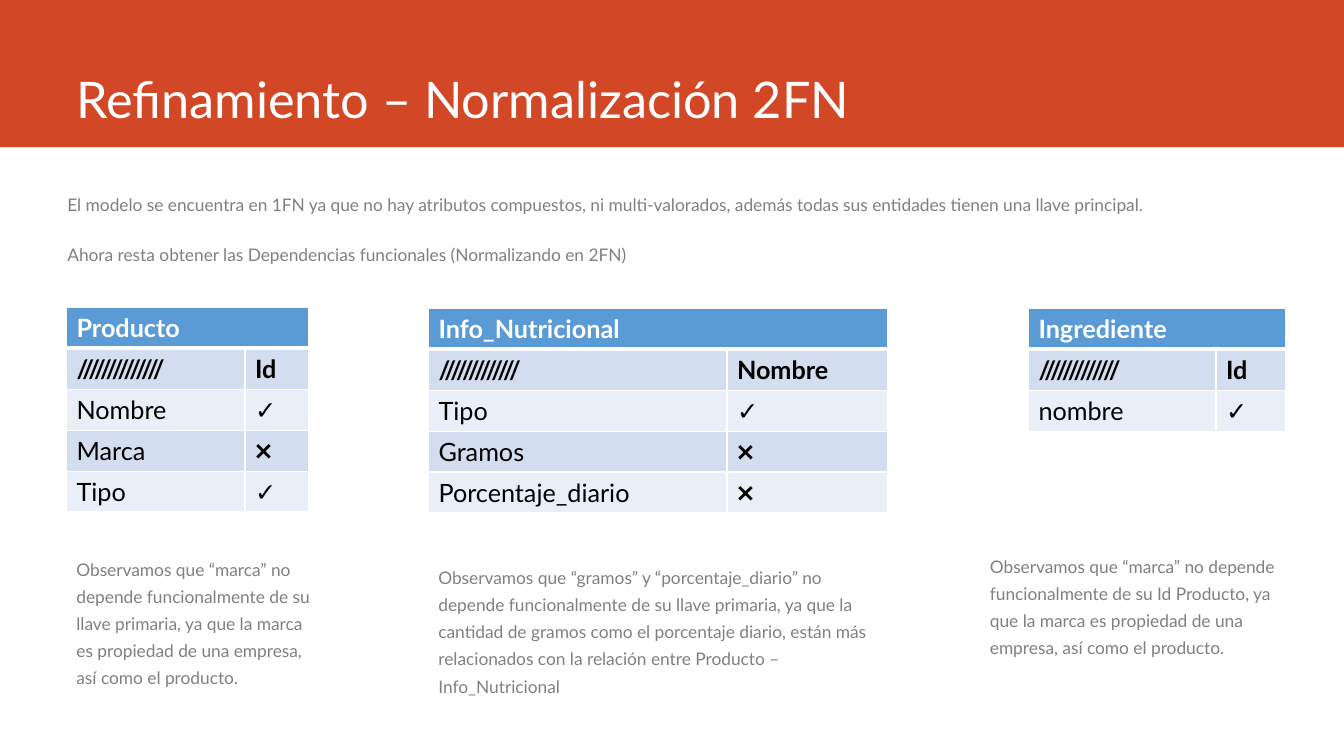
from dataclasses import dataclass

from lxml.etree import SubElement
from pptx import Presentation
from pptx.dml.color import RGBColor
from pptx.enum.shapes import MSO_SHAPE as Shape
from pptx.enum.text import MSO_ANCHOR as Anchor
from pptx.oxml.ns import qn
from pptx.util import Inches, Pt


@dataclass(frozen=True)
class Theme:
    """Colours, font and type sizes of the slide."""
    font: str = "Lato"
    banner: str = "D24726"
    white: str = "FFFFFF"
    black: str = "000000"
    grey: str = "808080"
    header: str = "5B9BD5"
    bands: tuple = ("D2DEEF", "EAEFF7")
    title_size: float = 36
    table_size: float = 18
    body_size: float = 12.4


THEME = Theme()
YES, NO = "✓", "❌"
ROW_HEIGHT = 0.406
BODY_FORMAT = {"line_spacing": 1.3, "space_before": Pt(3.7), "space_after": Pt(12)}

INTRO = [
    "El modelo se encuentra en 1FN ya que no hay atributos compuestos, ni "
    "multi-valorados, además todas sus entidades tienen una llave principal.",
    "Ahora resta obtener las Dependencias funcionales (Normalizando en 2FN)",
]

# Left, top, column widths, entity, slashes, key, attributes
ENTITIES = [
    (0.66, 3.05, (1.77, 0.63), "Producto", 14, "Id",
     [("Nombre", YES), ("Marca", NO), ("Tipo", YES)]),
    (4.25, 3.06, (2.96, 1.59), "Info_Nutricional", 13, "Nombre",
     [("Tipo", YES), ("Gramos", NO), ("Porcentaje_diario", NO)]),
    (10.2, 3.06, (1.86, 0.69), "Ingrediente", 13, "Id", [("nombre", YES)]),
]

# Box and text of each remark
REMARKS = [
    ((0.66, 5.44, 2.63, 1.74),
     "Observamos que “marca” no depende funcionalmente de su llave primaria, "
     "ya que la marca es propiedad de una empresa, así como el producto."),
    ((4.25, 5.52, 4.67, 1.77),
     "Observamos que “gramos” y “porcentaje_diario” no depende funcionalmente "
     "de su llave primaria, ya que la cantidad de gramos como el porcentaje "
     "diario, están más relacionados con la relación entre Producto – "
     "Info_Nutricional"),
    ((9.72, 5.41, 3.3, 1.77),
     "Observamos que “marca” no depende funcionalmente de su Id Producto, ya "
     "que la marca es propiedad de una empresa, así como el producto."),
]


def set_values(target, values):
    """Set attributes of an object from a dict."""
    for name, value in values.items():
        setattr(target, name, value)


def fill_solid(fill, color):
    """Give a fill one plain colour."""
    fill.solid()
    fill.fore_color.rgb = RGBColor.from_string(color)


def write(paragraph, text, size, color, bold=False):
    """Add one formatted run to a paragraph."""
    run = paragraph.add_run()
    run.text = text
    set_values(run.font, {"name": THEME.font, "size": Pt(size), "bold": bold})
    run.font.color.rgb = RGBColor.from_string(color)


def add_banner(slide, width, height):
    """Draw the coloured band behind the title."""
    banner = slide.shapes.add_shape(Shape.RECTANGLE, 0, 0, width, height)
    banner.shadow.inherit = False
    fill_solid(banner.fill, THEME.banner)
    banner.line.fill.background()


def add_text(slide, box, texts, size, color, anchor=Anchor.TOP, spacing=None):
    """Add a wrapping text box with one paragraph per text."""
    frame = slide.shapes.add_textbox(*map(Inches, box)).text_frame
    set_values(frame, {"word_wrap": True, "vertical_anchor": anchor})
    for index, text in enumerate(texts):
        paragraph = frame.add_paragraph() if index else frame.paragraphs[0]
        set_values(paragraph, spacing or {})
        write(paragraph, text, size, color)


def set_borders(cell, top, bottom):
    """Draw white cell borders, one point wide at the sides."""
    properties = cell._tc.get_or_add_tcPr()
    widths = {"a:lnL": 1, "a:lnR": 1, "a:lnT": top, "a:lnB": bottom}
    for tag, width in widths.items():
        line = SubElement(properties, qn(tag), w=str(Pt(width)))
        fill = SubElement(line, qn("a:solidFill"))
        SubElement(fill, qn("a:srgbClr"), val=THEME.white)


def add_entity(slide, left, top, widths, entity, slashes, key, attributes):
    """Add the table of an entity's dependencies on its key."""
    rows = [(entity, ""), ("/" * slashes, key), *attributes]
    frame = slide.shapes.add_table(
        len(rows), len(widths), Inches(left), Inches(top),
        Inches(sum(widths)), Inches(ROW_HEIGHT * len(rows)))
    table = frame.table
    for column, width in zip(table.columns, widths):
        column.width = Inches(width)
    for row_index, values in enumerate(rows):
        table.rows[row_index].height = Inches(ROW_HEIGHT)
        is_header = row_index == 0
        background = THEME.header if is_header else THEME.bands[(row_index - 1) % 2]
        color = THEME.white if is_header else THEME.black
        for column_index, text in enumerate(values):
            cell = table.cell(row_index, column_index)
            set_borders(cell, 3 if row_index == 1 else 1, 3 if is_header else 1)
            fill_solid(cell.fill, background)
            if text:
                bold = row_index < 2 or text == YES
                write(cell.text_frame.paragraphs[0], text,
                      THEME.table_size, color, bold)
    table.cell(0, 0).merge(table.cell(0, 1))


def main():
    """Build the slide and save it."""
    presentation = Presentation()
    set_values(presentation, {"slide_width": Inches(13.33),
                              "slide_height": Inches(7.5)})
    slide = presentation.slides.add_slide(presentation.slide_layouts[6])
    add_banner(slide, presentation.slide_width, Inches(1.46))
    add_text(slide, (0.66, 0, 11.76, 1.32), ["Refinamiento – Normalización 2FN"],
             THEME.title_size, THEME.white, Anchor.BOTTOM)
    add_text(slide, (0.57, 1.82, 12.44, 1.09), INTRO,
             THEME.body_size, THEME.grey, spacing=BODY_FORMAT)
    for entity in ENTITIES:
        add_entity(slide, *entity)
    for box, remark in REMARKS:
        add_text(slide, box, [remark],
                 THEME.body_size, THEME.grey, spacing=BODY_FORMAT)
    presentation.save("out.pptx")


main()
